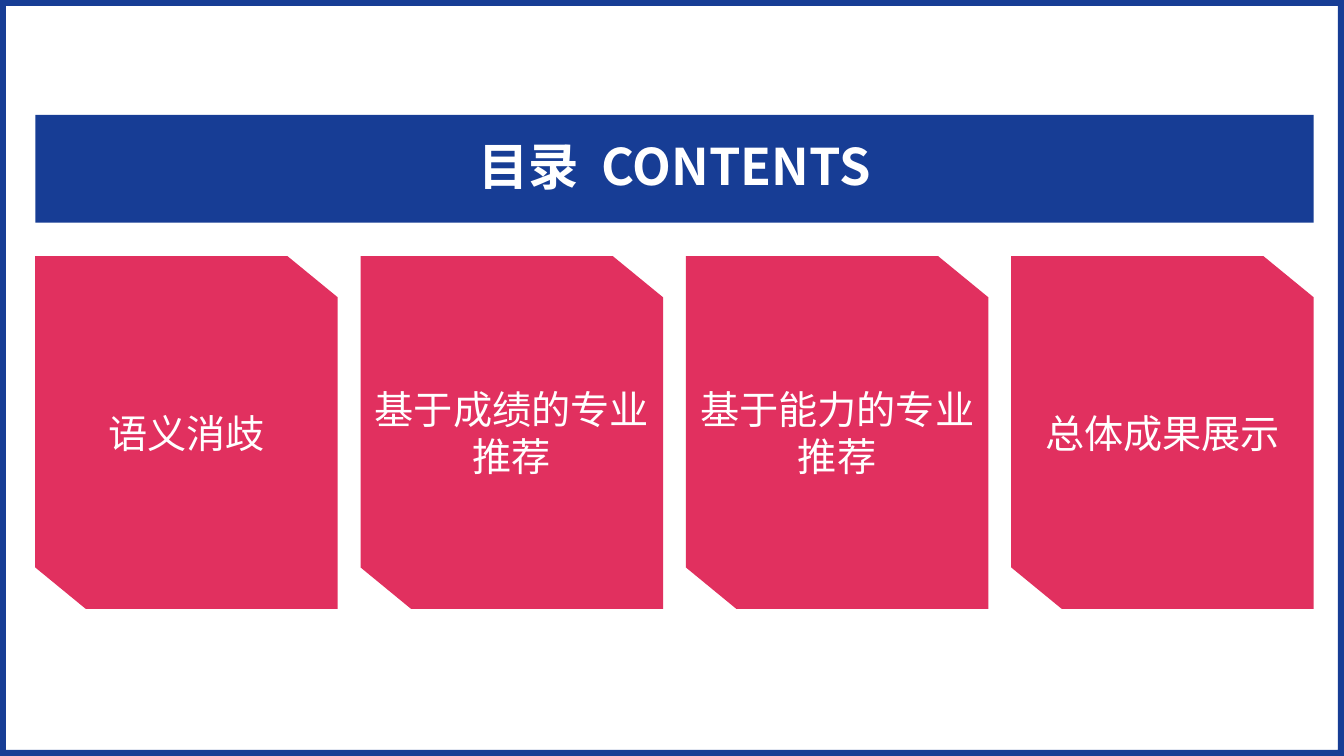
import pptx
import pptx.dml.color
import pptx.enum.shapes
import pptx.enum.text
import pptx.oxml
import pptx.oxml.ns
import pptx.util
from pptx.util import Inches

BLUE = pptx.dml.color.RGBColor(0x17, 0x3D, 0x95)
PINK = pptx.dml.color.RGBColor(0xE1, 0x30, 0x5F)
WHITE = pptx.dml.color.RGBColor(0xFF, 0xFF, 0xFF)
FONT = "Noto Sans CJK SC"
SHAPES = pptx.enum.shapes.MSO_SHAPE

PAGE_WIDTH, PAGE_HEIGHT = 13.33, 7.5
LEFT, CONTENT_WIDTH = 0.35, 12.68
CARD_WIDTH, CARD_HEIGHT = 3, 3.5
TOPICS = ["语义消歧", "基于成绩的专业推荐", "基于能力的专业推荐", "总体成果展示"]


def paint(shape, color):
    shape.shadow.inherit = False
    shape.fill.solid()
    shape.fill.fore_color.rgb = color
    shape.line.fill.background()


def start_paragraph(shape):
    frame = shape.text_frame
    frame.word_wrap = True
    frame.vertical_anchor = pptx.enum.text.MSO_ANCHOR.MIDDLE
    para = frame.paragraphs[0]
    para.alignment = pptx.enum.text.PP_ALIGN.CENTER
    para.space_before = pptx.util.Pt(10)
    return para


def add_span(para, text, size, bold=False):
    span = para.add_run()
    span.text = text
    span.font.size = pptx.util.Pt(size)
    span.font.bold = bold
    span.font.name = FONT
    span.font.color.rgb = WHITE
    # Chinese characters take the East Asian typeface
    properties = span.font._element
    east_asian = pptx.oxml.parse_xml(
        f'<a:ea {pptx.oxml.ns.nsdecls("a")} typeface="{FONT}"/>')
    properties.find(pptx.oxml.ns.qn("a:latin")).addnext(east_asian)
    return span


def add_border(page, left, top, width, height):
    border = page.shapes.add_shape(
        SHAPES.FRAME, Inches(left), Inches(top), Inches(width), Inches(height))
    border.adjustments[0] = 0.008
    paint(border, BLUE)


def add_title(page, left, top, width, height):
    banner = page.shapes.add_shape(
        SHAPES.RECTANGLE, Inches(left), Inches(top), Inches(width), Inches(height))
    paint(banner, BLUE)
    para = start_paragraph(banner)
    para.line_spacing = 0.9
    add_span(para, "目录", 36, bold=True)
    gap = add_span(para, " ", 36, bold=True)
    gap.font._element.set("spc", "800")  # widened space between the languages
    add_span(para, "CONTENTS", 36, bold=True)


def add_card(page, left, top, width, height, topic):
    # Rectangle with the top right and bottom left corners cut
    cut_x, cut_y = 0.5, 0.41
    right, bottom = left + width, top + height
    corners = [(right - cut_x, top), (right, top + cut_y), (right, bottom),
               (left + cut_x, bottom), (left, bottom - cut_y)]
    outline = page.shapes.build_freeform(Inches(left), Inches(top))
    outline.add_line_segments([(Inches(x), Inches(y)) for x, y in corners], close=True)
    card = outline.convert_to_shape()
    paint(card, PINK)
    add_span(start_paragraph(card), topic, 28)


def add_cards(page, left, top, width, height):
    step = (width - CARD_WIDTH) / (len(TOPICS) - 1)
    for index, topic in enumerate(TOPICS):
        add_card(page, left + index * step, top, CARD_WIDTH, height, topic)


def main():
    deck = pptx.Presentation()
    deck.slide_width = Inches(PAGE_WIDTH)
    deck.slide_height = Inches(PAGE_HEIGHT)
    page = deck.slides.add_slide(deck.slide_layouts[6])
    add_border(page, 0, 0, PAGE_WIDTH, PAGE_HEIGHT)
    add_title(page, LEFT, 1.14, CONTENT_WIDTH, 1.07)
    add_cards(page, LEFT, 2.54, CONTENT_WIDTH, CARD_HEIGHT)
    deck.save("out.pptx")


if __name__ == "__main__":
    main()
